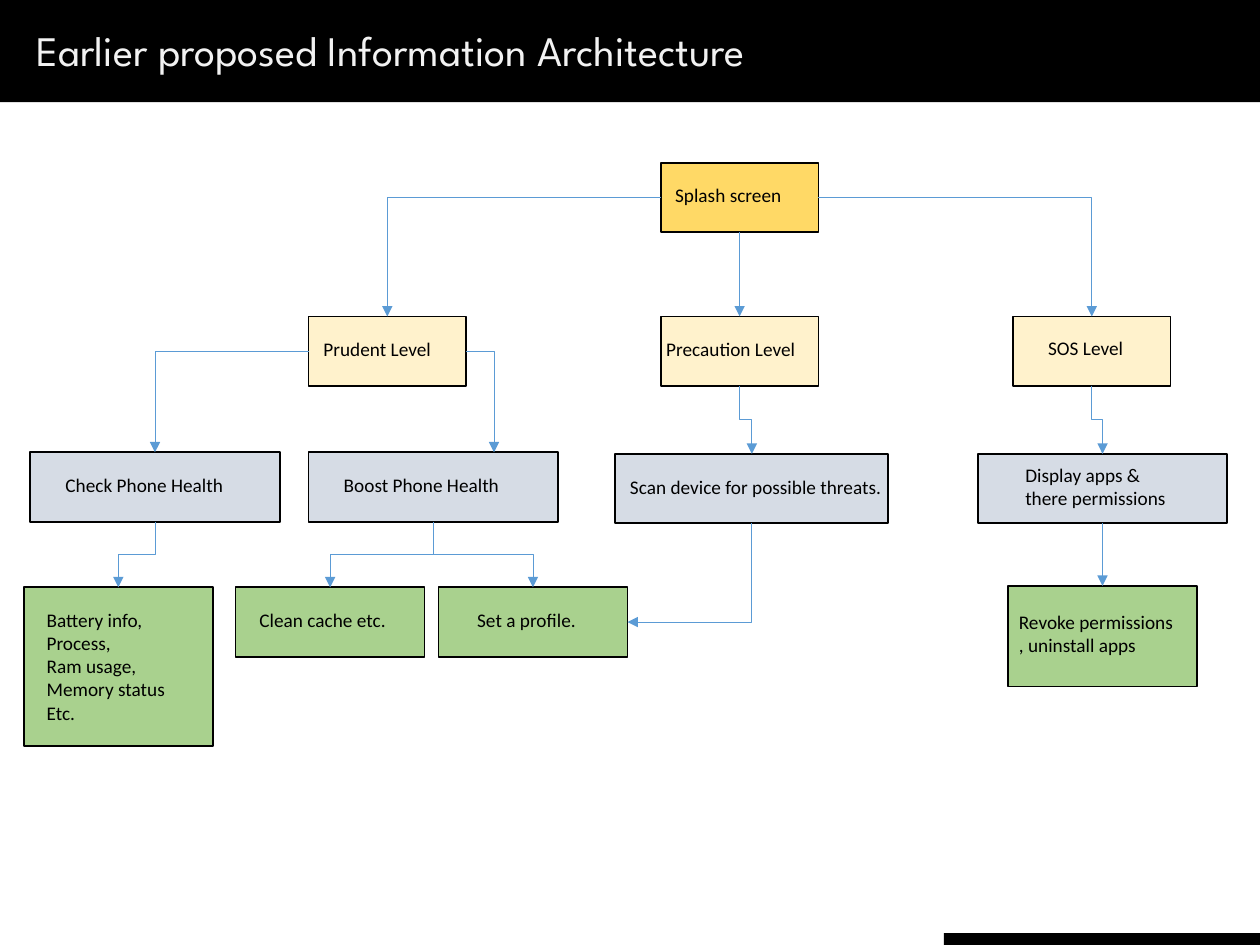
from dataclasses import dataclass
from typing import Optional

from lxml.etree import SubElement
from pptx import Presentation
from pptx.dml.color import RGBColor
from pptx.enum.shapes import MSO_CONNECTOR, MSO_SHAPE
from pptx.enum.text import MSO_ANCHOR, MSO_AUTO_SIZE, PP_ALIGN
from pptx.oxml.ns import qn
from pptx.util import Cm, Pt

BLACK, GOLD, CREAM, GREY, GREEN = "000000", "FFD966", "FFF2CC", "D6DCE5", "A9D18E"
ACCENT, PALE = "5B9BD5", "F2F2F2"
TOP, LEFT, BOTTOM, RIGHT = range(4)
ROW_H, LEVEL_W, SCREEN_W, ACTION_W = 1.4, 3.18, 5.03, 3.81
LEVEL_X, LEVEL_STEP = 6.22, 7.1
SPLASH_Y, LEVEL_Y, SCREEN_Y, ACTION_Y = 3.28, 6.38, 9.12, 11.84


@dataclass
class Box:
    text: str
    fill: str
    x: float
    y: float
    w: float
    label: tuple
    h: float = ROW_H

    def site(self, side: int) -> tuple:
        return (
            self.x + self.w * {LEFT: 0, RIGHT: 1}.get(side, 0.5),
            self.y + self.h * {TOP: 0, BOTTOM: 1}.get(side, 0.5),
        )


@dataclass
class Link:
    start: str
    start_side: int
    end: str
    end_side: int = TOP
    end_x: Optional[float] = None
    straight: bool = False


LEVELS = [LEVEL_X + i * LEVEL_STEP for i in range(3)]
BOXES = {
    "splash": Box("Splash screen", GOLD, LEVELS[1], SPLASH_Y, LEVEL_W, (13.36, 3.58, 2.97, 0.81)),
    "prudent": Box("Prudent Level", CREAM, LEVELS[0], LEVEL_Y, LEVEL_W, (6.27, 6.68, 3, 0.81)),
    "precaution": Box("Precaution Level", CREAM, LEVELS[1], LEVEL_Y, LEVEL_W, (13.18, 6.68, 3.48, 0.81)),
    "sos": Box("SOS Level", CREAM, LEVELS[2], LEVEL_Y, LEVEL_W, (20.88, 6.65, 2.26, 0.81)),
    "check": Box("Check Phone Health", GREY, 0.61, SCREEN_Y, SCREEN_W, (1.07, 9.42, 4.11, 0.81)),
    "boost": Box("Boost Phone Health", GREY, LEVELS[0], SCREEN_Y, SCREEN_W, (6.68, 9.42, 4.06, 0.81)),
    "scan": Box("Scan device for possible threats.", GREY, 12.4, 9.15, 5.51, (12.45, 9.45, 5.61, 0.74)),
    "display": Box("Display apps &\nthere permissions", GREY, 19.71, 9.15, SCREEN_W, (20.42, 9.22, 3.73, 1.32)),
    "battery": Box("Battery info,\nProcess,\nRam usage,\nMemory status\nEtc.", GREEN,
                   0.48, ACTION_Y, ACTION_W, (0.69, 12.14, 3.23, 3.4), 3.2),
    "clean": Box("Clean cache etc.", GREEN, 4.75, ACTION_Y, ACTION_W, (4.98, 12.14, 3.43, 0.81)),
    "profile": Box("Set a profile.", GREEN, 8.84, ACTION_Y, ACTION_W, (9.37, 12.14, 2.79, 0.81)),
    "revoke": Box("Revoke permissions\n, uninstall apps", GREEN,
                  20.32, 11.81, ACTION_W, (20.29, 12.17, 3.66, 1.19), 2.03),
}
LINKS = [
    Link("splash", LEFT, "prudent"),
    Link("splash", RIGHT, "sos"),
    Link("splash", BOTTOM, "precaution", straight=True),
    Link("prudent", LEFT, "check"),
    Link("prudent", RIGHT, "boost", end_x=9.96),
    Link("boost", BOTTOM, "clean"),
    Link("boost", BOTTOM, "profile"),
    Link("check", BOTTOM, "battery"),
    Link("precaution", BOTTOM, "scan"),
    Link("sos", BOTTOM, "display"),
    Link("scan", BOTTOM, "profile", RIGHT),
    Link("display", BOTTOM, "revoke", straight=True),
]


def color(value: str) -> RGBColor:
    return RGBColor.from_string(value)


def apply(target, values: dict) -> None:
    for name, value in values.items():
        setattr(target, name, value)


def add_rect(s, x: float, y: float, w: float, h: float, fill: str, outlined: bool = False):
    sp = s.shapes.add_shape(MSO_SHAPE.RECTANGLE, Cm(x), Cm(y), Cm(w), Cm(h))
    sp.shadow.inherit = False
    sp.fill.solid()
    sp.fill.fore_color.rgb = color(fill)
    if outlined:
        sp.line.color.rgb = color(BLACK)
        sp.line.width = Pt(1)
    else:
        sp.line.fill.background()
    return sp


def write(sp, text: str, size: float, font: str, ink: str) -> None:
    tf = sp.text_frame
    tf.text = text
    apply(tf, {"word_wrap": False, "auto_size": MSO_AUTO_SIZE.SHAPE_TO_FIT_TEXT,
               "vertical_anchor": MSO_ANCHOR.TOP})
    for p in tf.paragraphs:
        p.alignment = PP_ALIGN.LEFT
        for r in p.runs:
            apply(r.font, {"size": Pt(size), "name": font})
            r.font.color.rgb = color(ink)


def add_box(s, box: Box):
    sp = add_rect(s, box.x, box.y, box.w, box.h, box.fill, True)
    label = s.shapes.add_textbox(*map(Cm, box.label))
    write(label, box.text, 11, "Calibri", BLACK)
    return sp


def turn(cxn, x1: float, y1: float, x2: float, y2: float) -> None:
    run, drop = abs(x2 - x1), abs(y2 - y1)
    apply(cxn, {
        "left": Cm((x1 + x2 - drop) / 2), "top": Cm((y1 + y2 - run) / 2),
        "width": Cm(drop), "height": Cm(run),
    })
    xfrm = cxn._element.spPr.find(qn("a:xfrm"))
    rightward = x2 > x1
    xfrm.set("rot", str((270 if rightward else 90) * 60000))
    xfrm.set("flipH", "1" if rightward else "0")
    xfrm.set("flipV", "0")


def add_link(s, link: Link, shapes: dict) -> None:
    x1, y1 = BOXES[link.start].site(link.start_side)
    x2, y2 = BOXES[link.end].site(link.end_side)
    x2 = link.end_x or x2
    kind = MSO_CONNECTOR.STRAIGHT if link.straight else MSO_CONNECTOR.ELBOW
    cxn = s.shapes.add_connector(kind, Cm(x1), Cm(y1), Cm(x2), Cm(y2))
    spPr = cxn._element.spPr
    if link.straight:
        cxn.begin_connect(shapes[link.start], link.start_side)
        cxn.end_connect(shapes[link.end], link.end_side)
    else:
        if link.start_side % 2 != link.end_side % 2:
            spPr.find(qn("a:prstGeom")).set("prst", "bentConnector2")
        if link.start_side == BOTTOM:
            turn(cxn, x1, y1, x2, y2)
    cxn.line.color.rgb = color(ACCENT)
    cxn.line.width = Pt(0.5)
    SubElement(spPr.find(qn("a:ln")), qn("a:tailEnd"), type="triangle")
    SubElement(spPr, qn("a:effectLst"))


def main() -> None:
    prs = Presentation()
    apply(prs, {"slide_width": Cm(25.4), "slide_height": Cm(19.05)})
    s = prs.slides.add_slide(prs.slide_layouts[5])
    shapes = {name: add_box(s, box) for name, box in BOXES.items()}
    for link in LINKS:
        add_link(s, link, shapes)
    add_rect(s, 0, 0, 25.4, 2.06, BLACK)
    add_rect(s, 19.03, 18.81, 6.37, 0.25, BLACK)
    title = s.shapes.title
    apply(title, {"left": Cm(0.48), "top": Cm(0.36), "width": Cm(17.58), "height": Cm(1.27)})
    write(title, "Earlier proposed Information Architecture", 24, "League Spartan", PALE)
    s.shapes._spTree.append(title._element)
    prs.save("out.pptx")


if __name__ == "__main__":
    main()
